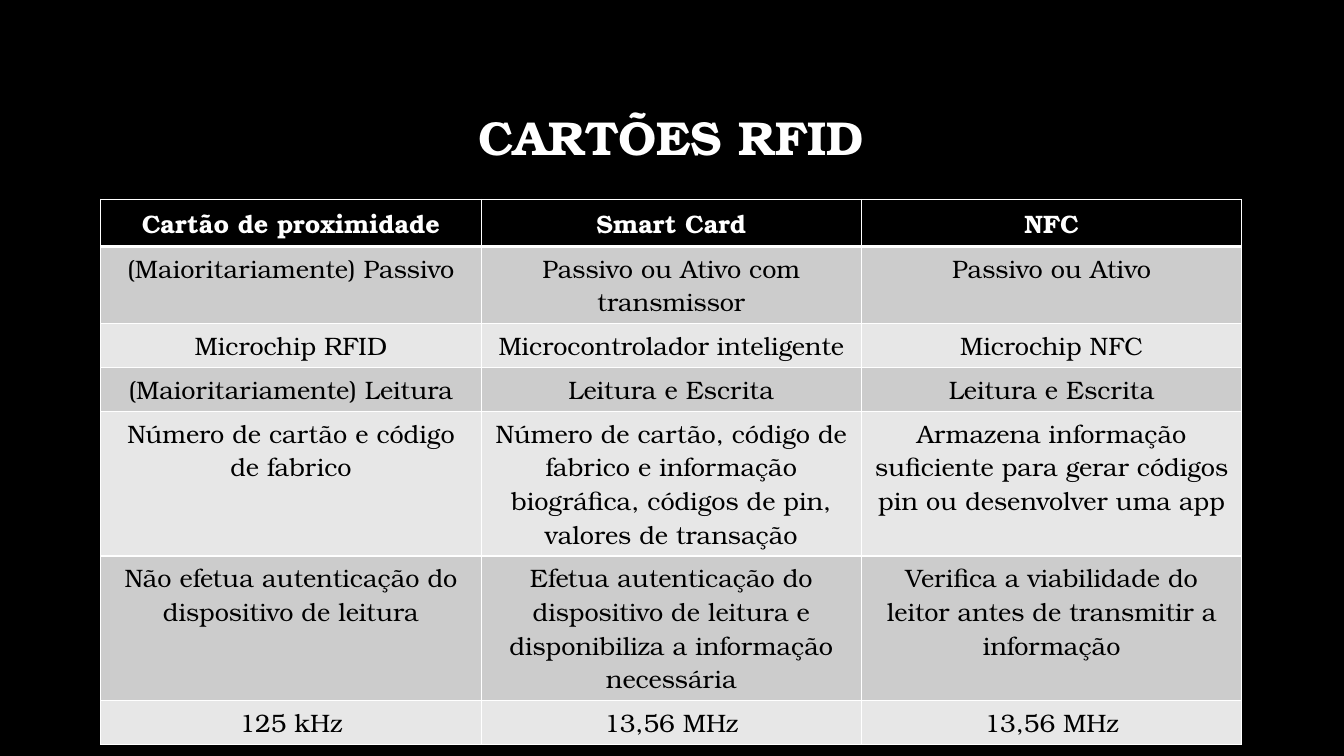
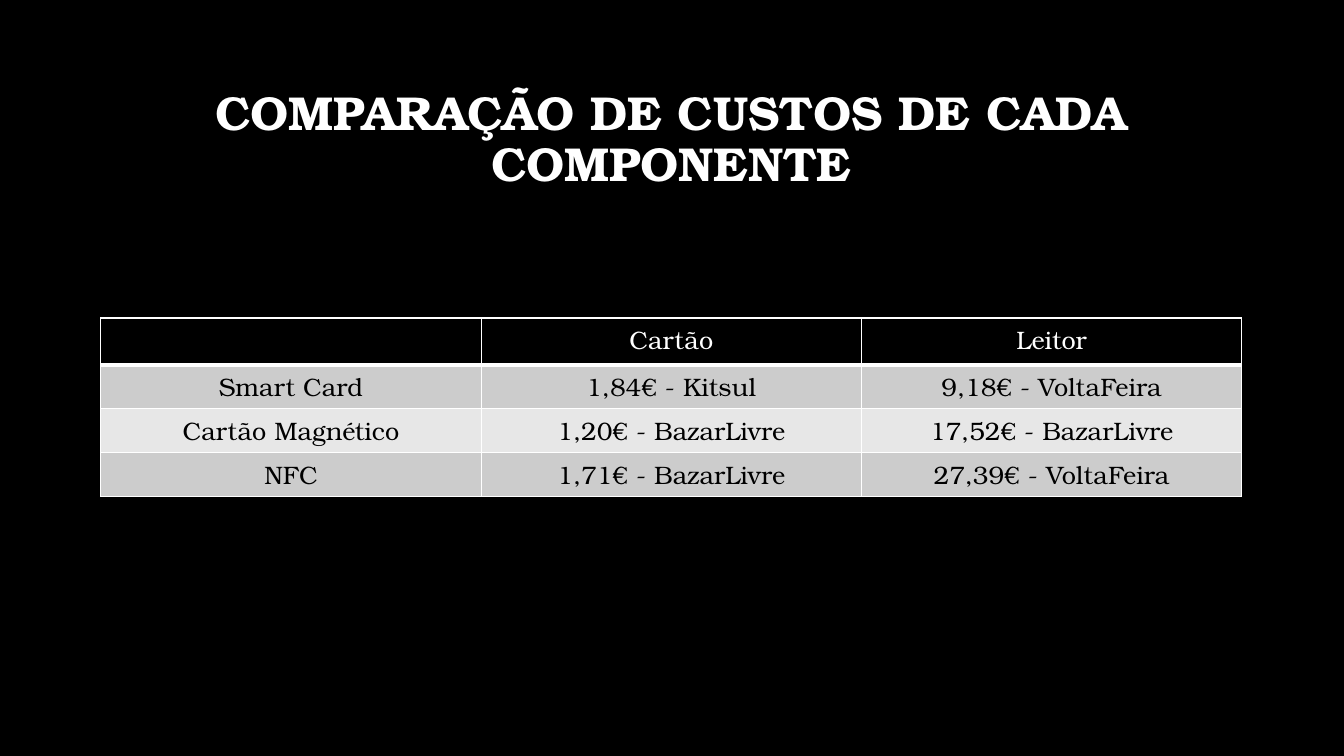
from lxml import etree
from pptx import Presentation
from pptx.dml.color import RGBColor
from pptx.enum.text import MSO_ANCHOR, PP_ALIGN
from pptx.oxml.ns import qn
from pptx.util import Pt

CENTER = PP_ALIGN.CENTER
MIDDLE = MSO_ANCHOR.MIDDLE

COLORS = {
    "black": "000000",
    "white": "FFFFFF",
    "dark_band": "CCCCCC",
    "light_band": "E7E7E7",
}
FONT = "TeX Gyre Bonum"
TITLE_SIZE, TABLE_SIZE = 34, 18
LEFT, COLUMN_WIDTH = 72, 271.7
HEADER_HEIGHT, ROW_HEIGHT, EXTRA_LINE = 33.5, 31.3, 24
TITLE_TOP, TITLE_WIDTH, TITLE_HEIGHT = 48, 815, 104.4
THIN, THICK = 1, 3

SLIDES = [
    {
        "title": "CARTÕES RFID",
        "table_top": 142.5,
        "header_bold": True,
        "row_lines": (1, 2, 1, 1, 4, 4, 1),
        "rows": [
            ("Cartão de proximidade", "Smart Card", "NFC"),
            ("(Maioritariamente) Passivo", "Passivo ou Ativo com transmissor", "Passivo ou Ativo"),
            ("Microchip RFID", "Microcontrolador inteligente", "Microchip NFC"),
            ("(Maioritariamente) Leitura", "Leitura e Escrita", "Leitura e Escrita"),
            (
                "Número de cartão e código de fabrico",
                "Número de cartão, código de fabrico e informação biográfica, "
                "códigos de pin, valores de transação",
                "Armazena informação suficiente para gerar códigos pin ou desenvolver uma app",
            ),
            (
                "Não efetua autenticação do dispositivo de leitura",
                "Efetua autenticação do dispositivo de leitura e "
                "disponibiliza a informação necessária",
                "Verifica a viabilidade do leitor antes de transmitir a informação",
            ),
            ("125 kHz", "13,56 MHz", "13,56 MHz"),
        ],
    },
    {
        "title": "COMPARAÇÃO DE CUSTOS DE CADA COMPONENTE",
        "table_top": 227.2,
        "header_bold": False,
        "row_lines": (1, 1, 1, 1),
        "rows": [
            ("", "Cartão", "Leitor"),
            ("Smart Card", "1,84€ - Kitsul", "9,18€ - VoltaFeira"),
            ("Cartão Magnético", "1,20€ - BazarLivre", "17,52€ - BazarLivre"),
            ("NFC", "1,71€ - BazarLivre", "27,39€ - VoltaFeira"),
        ],
    },
]


def rgb(name):
    return RGBColor.from_string(COLORS[name])


def write(frame, text, size, color, bold):
    paragraph = frame.paragraphs[0]
    paragraph.alignment = CENTER
    if text:
        run = paragraph.add_run()
        run.text = text
        run.font.name = FONT
        run.font.size = Pt(size)
        run.font.bold = bold
        run.font.color.rgb = rgb(color)
    return paragraph


def add_title(slide, text):
    frame = slide.shapes.add_textbox(
        Pt(LEFT), Pt(TITLE_TOP), Pt(TITLE_WIDTH), Pt(TITLE_HEIGHT)
    ).text_frame
    frame.word_wrap = True
    frame.vertical_anchor = MIDDLE
    write(frame, text, TITLE_SIZE, "white", True).line_spacing = 0.9


def set_borders(cell, top, bottom):
    properties = cell._tc.get_or_add_tcPr()
    for side, width in (("L", THIN), ("R", THIN), ("T", top), ("B", bottom)):
        line = etree.SubElement(properties, qn(f"a:ln{side}"), w=str(Pt(width)))
        fill = etree.SubElement(line, qn("a:solidFill"))
        etree.SubElement(fill, qn("a:srgbClr"), val=COLORS["white"])


def add_comparison(slide, rows, row_lines, top, header_bold):
    columns = len(rows[0])
    heights = [HEADER_HEIGHT] + [
        ROW_HEIGHT + (lines - 1) * EXTRA_LINE for lines in row_lines[1:]
    ]
    table = slide.shapes.add_table(
        len(rows), columns, Pt(LEFT), Pt(top),
        Pt(columns * COLUMN_WIDTH), Pt(sum(heights)),
    ).table
    for column in table.columns:
        column.width = Pt(COLUMN_WIDTH)
    for r, (row, height) in enumerate(zip(rows, heights)):
        table.rows[r].height = Pt(height)
        header = r == 0
        band = "black" if header else ("light_band", "dark_band")[r % 2]
        for c, text in enumerate(row):
            cell = table.cell(r, c)
            set_borders(cell, THICK if r == 1 else THIN, THICK if header else THIN)
            cell.fill.solid()
            cell.fill.fore_color.rgb = rgb(band)
            write(cell.text_frame, text, TABLE_SIZE,
                  "white" if header else "black", header and header_bold)


def main():
    deck = Presentation()
    deck.slide_width, deck.slide_height = Pt(960), Pt(540)
    background = deck.slide_master.background.fill
    background.solid()
    background.fore_color.rgb = rgb("black")
    for content in SLIDES:
        slide = deck.slides.add_slide(deck.slide_layouts[6])
        add_title(slide, content["title"])
        add_comparison(slide, content["rows"], content["row_lines"],
                       content["table_top"], content["header_bold"])
    deck.save("out.pptx")


if __name__ == "__main__":
    main()
